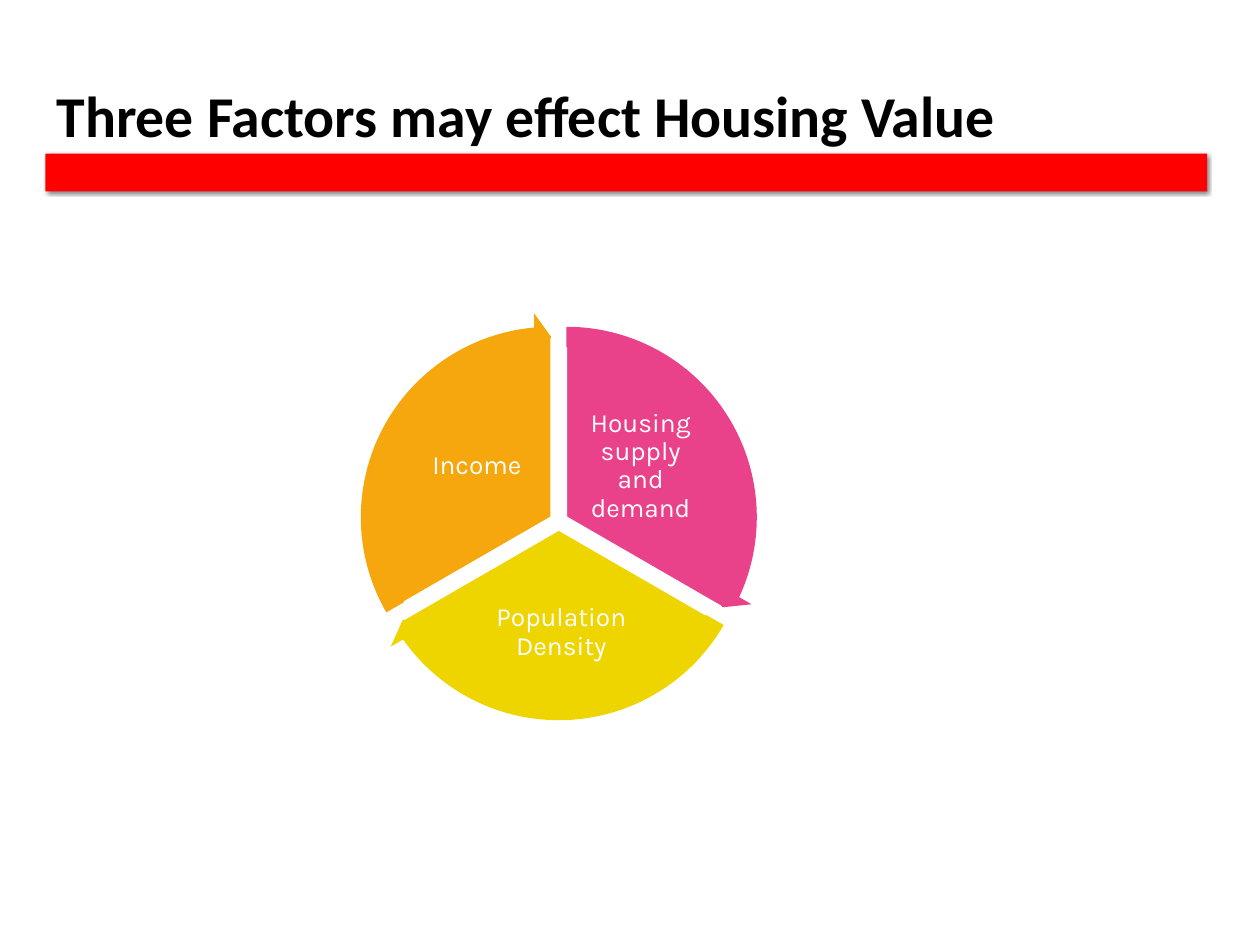
from lxml import etree
from pptx import Presentation
from pptx.dml.color import RGBColor
from pptx.enum.shapes import MSO_SHAPE
from pptx.enum.text import MSO_ANCHOR, PP_ALIGN
from pptx.oxml.ns import qn
from pptx.util import Inches, Pt

PIE, ARROW, RECT = MSO_SHAPE.PIE, MSO_SHAPE.CIRCULAR_ARROW, MSO_SHAPE.RECTANGLE
MIDDLE, BOTTOM = MSO_ANCHOR.MIDDLE, MSO_ANCHOR.BOTTOM
LEFT, CENTER = PP_ALIGN.LEFT, PP_ALIGN.CENTER

prs = Presentation()
prs.slide_width, prs.slide_height = Inches(10), Inches(7.5)
slide = prs.slides.add_slide(prs.slide_layouts[6])


def add_shape(kind, box, color, angles=()):
    shape = slide.shapes.add_shape(kind, *map(Inches, box))
    shape.shadow.inherit = False
    shape.fill.solid()
    shape.fill.fore_color.rgb = RGBColor.from_string(color)
    shape.line.fill.background()
    for i, angle in enumerate(angles):
        shape.adjustments[i] = angle
    return shape


def add_text(box, text, size, font, color, anchor, align, space):
    label = slide.shapes.add_textbox(*map(Inches, box))
    frame = label.text_frame
    frame.word_wrap = True
    frame.vertical_anchor = anchor
    par = frame.paragraphs[0]
    par.text = text
    par.alignment = align
    par.line_spacing = space
    par.font.size = Pt(size)
    par.font.name = font
    par.font.color.rgb = RGBColor.from_string(color)
    return frame


title = add_text((0.35, 0.35, 7.69, 0.88), "Three Factors may effect Housing Value",
                 33, "Calibri", "000000", BOTTOM, LEFT, 0.8)
title.paragraphs[0].font.bold = True

factors = [
    ("Housing supply and demand", "EA428A", 3.05, 2.66, 162, 18, (4.57, 3.27, 1.03, 0.86)),
    ("Population Density", "EED500", 2.99, 2.76, 18, 90, (3.68, 4.64, 1.55, 0.76)),
    ("Income", "F5A70D", 2.93, 2.66, 90, 162, (3.27, 3.27, 1.03, 0.86)),
]
for text, color, x, y, start, end, box in factors:
    slice = add_shape(PIE, (x, y, 2.89, 2.89), color, (start, end))
    slice.line.color.rgb = RGBColor.from_string("FFFFFF")
    slice.line.width = Pt(1)
    frame = add_text(box, text, 15, "Karla", "FFFFFF", MIDDLE, CENTER, 0.9)
    frame.margin_left = frame.margin_right = Inches(0.02)
    frame.margin_top = frame.margin_bottom = Inches(0.02)

for text, color, x, y, start, end, box in factors:
    add_shape(ARROW, (x - 0.18, y - 0.18, 3.25, 3.25), color,
              (0.05, 3.28, end - 3.28, start, 0.06))

bar = add_shape(RECT, (0.36, 1.22, 9.22, 0.3), "FF0000")
effects = bar._element.spPr.find(qn("a:effectLst"))
shadow = etree.SubElement(effects, qn("a:outerShdw"), blurRad=str(Pt(2)),
                          dist=str(Pt(1)), dir="2700000", rotWithShape="0")
black = etree.SubElement(shadow, qn("a:srgbClr"), val="000000")
etree.SubElement(black, qn("a:alpha"), val="50000")

prs.save("out.pptx")
